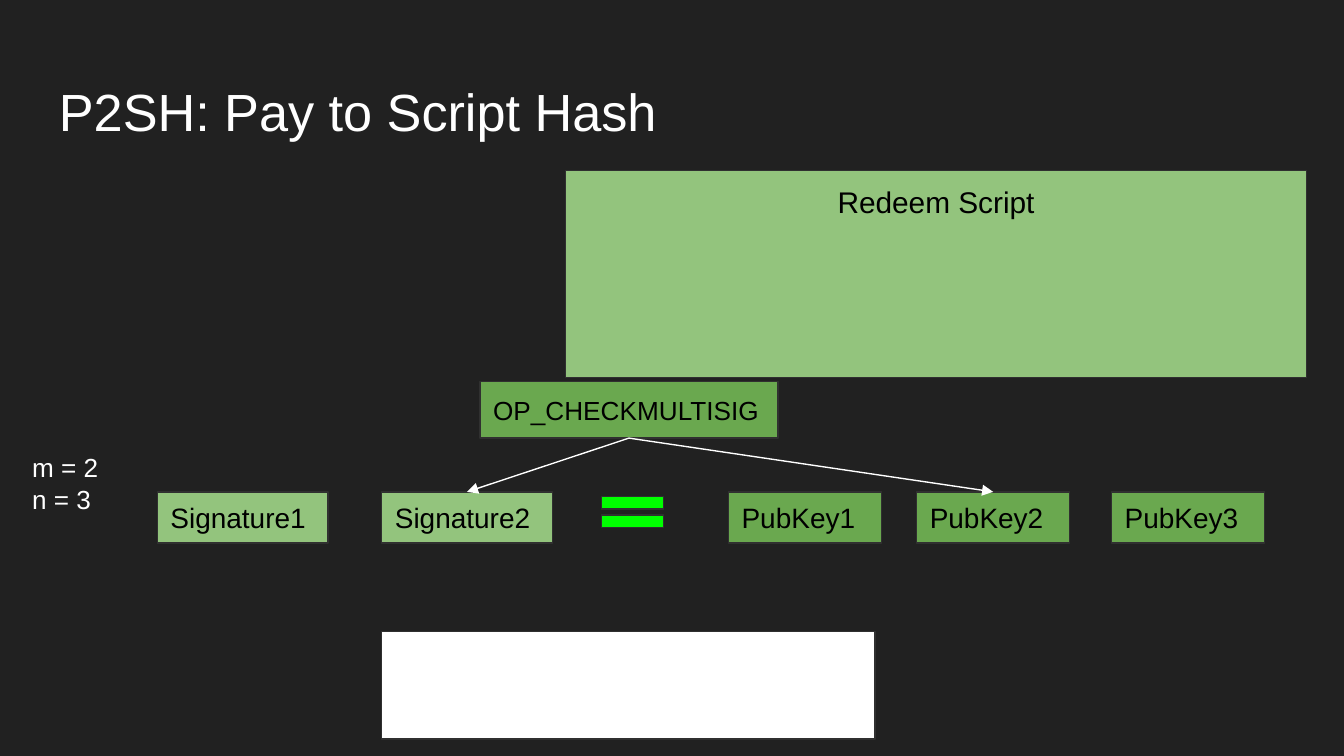
from pptx import Presentation
from pptx import util as u
from pptx.dml.color import RGBColor
from pptx.enum import shapes, text
from pptx.oxml import xmlchemy

BACKGROUND = RGBColor(0x21, 0x21, 0x21)
OUTLINE = RGBColor(0x30, 0x30, 0x30)
LIGHT_GREEN = RGBColor(0x93, 0xC4, 0x7D)
GREEN = RGBColor(0x6A, 0xA8, 0x4F)
BRIGHT_GREEN = RGBColor(0x00, 0xFF, 0x00)
WHITE = RGBColor(0xFF, 0xFF, 0xFF)
BLACK = RGBColor(0x00, 0x00, 0x00)

# Widescreen slide, 16 to 9
presentation = Presentation()
presentation.slide_width = u.Inches(10)
presentation.slide_height = presentation.slide_width * 9 // 16
slide = presentation.slides.add_slide(presentation.slide_layouts[6])
slide.background.fill.solid()
slide.background.fill.fore_color.rgb = BACKGROUND

# Square grid: 100 columns across the slide, rows of the same size
CELL = presentation.slide_width / 100
KEY_ROW, KEY_HEIGHT = 36.6, 3.8
SIGNATURE_WIDTH, PUBKEY_WIDTH = 12.7, 11.4
SIGNATURE_COLUMNS = [11.7, 28.4]
PUBKEY_COLUMNS = [54.2, 68.2, 82.7]
CHECK_COLUMN, CHECK_ROW, CHECK_WIDTH, CHECK_HEIGHT = 35.7, 28.4, 22.2, 4.2


def cells(*counts):
    return [round(count * CELL) for count in counts]


def write(shape, lines, size, color, anchor=text.MSO_ANCHOR.TOP, align=text.PP_ALIGN.LEFT):
    frame = shape.text_frame
    margins = dict.fromkeys(("margin_left", "margin_top", "margin_right", "margin_bottom"), u.Inches(0.1))
    for name, value in {"word_wrap": True, "vertical_anchor": anchor, **margins}.items():
        setattr(frame, name, value)
    frame.text = "\n".join(lines)
    for paragraph in frame.paragraphs:
        paragraph.alignment = align
        for name, value in {"name": "Arial", "size": u.Pt(size)}.items():
            setattr(paragraph.font, name, value)
        paragraph.font.color.rgb = color


# Title
title = slide.shapes.add_textbox(*cells(3.4, 4.9, 93.2, 6.3))
write(title, ["P2SH: Pay to Script Hash"], 28, WHITE)

# Boxes: place, fill, label, text size, anchor, alignment
top, middle = text.MSO_ANCHOR.TOP, text.MSO_ANCHOR.MIDDLE
left, center = text.PP_ALIGN.LEFT, text.PP_ALIGN.CENTER
boxes = [
    ((42.1, 12.7, 55.1, 15.4), LIGHT_GREEN, "Redeem Script", 16, top, center),
    ((CHECK_COLUMN, CHECK_ROW, CHECK_WIDTH, CHECK_HEIGHT), GREEN, "OP_CHECKMULTISIG", 14, middle, left),
    ((28.4, 47, 36.7, 8), WHITE, "", 14, middle, left),
]
for label, columns, width, fill in [
    ("PubKey", PUBKEY_COLUMNS, PUBKEY_WIDTH, GREEN),
    ("Signature", SIGNATURE_COLUMNS, SIGNATURE_WIDTH, LIGHT_GREEN),
]:
    for number, column in enumerate(columns, 1):
        place = (column, KEY_ROW, width, KEY_HEIGHT)
        boxes.append((place, fill, f"{label}{number}", 15, middle, left))

outlined = []
for place, fill, label, size, anchor, align in boxes:
    box = slide.shapes.add_shape(shapes.MSO_SHAPE.RECTANGLE, *cells(*place))
    if label:
        write(box, [label], size, BLACK, anchor, align)
    outlined.append((box, fill))

# Equal sign between signatures and public keys
equal_sign = slide.shapes.add_shape(shapes.MSO_SHAPE.MATH_EQUAL, *cells(43.9, 36.2, 6.3, 3.8))
equal_sign.adjustments[0] = 0.24
equal_sign.adjustments[1] = 0.12
outlined.append((equal_sign, BRIGHT_GREEN))

for shape, fill in outlined:
    shape.shadow.inherit = False
    shape.fill.solid()
    shape.fill.fore_color.rgb = fill
    shape.line.color.rgb = OUTLINE
    shape.line.width = u.Pt(0.75)

# Arrows from the check to the matching signature and key
start = (CHECK_COLUMN + CHECK_WIDTH / 2, CHECK_ROW + CHECK_HEIGHT)
for target in (SIGNATURE_COLUMNS[1] + SIGNATURE_WIDTH / 2, PUBKEY_COLUMNS[1] + PUBKEY_WIDTH / 2):
    arrow = slide.shapes.add_connector(shapes.MSO_CONNECTOR.STRAIGHT, *cells(*start, target, KEY_ROW))
    arrow.line.color.rgb = WHITE
    arrow.line.width = u.Pt(0.75)
    head = xmlchemy.OxmlElement("a:tailEnd")
    head.set("type", "triangle")
    properties = arrow._element.spPr
    properties.get_or_add_ln().append(head)
    properties.append(xmlchemy.OxmlElement("a:effectLst"))

# Threshold values
threshold = slide.shapes.add_textbox(*cells(1.4, 32.6, 19.8, 11.4))
write(threshold, ["m = 2", "n = 3"], 14, WHITE)

presentation.save("out.pptx")
